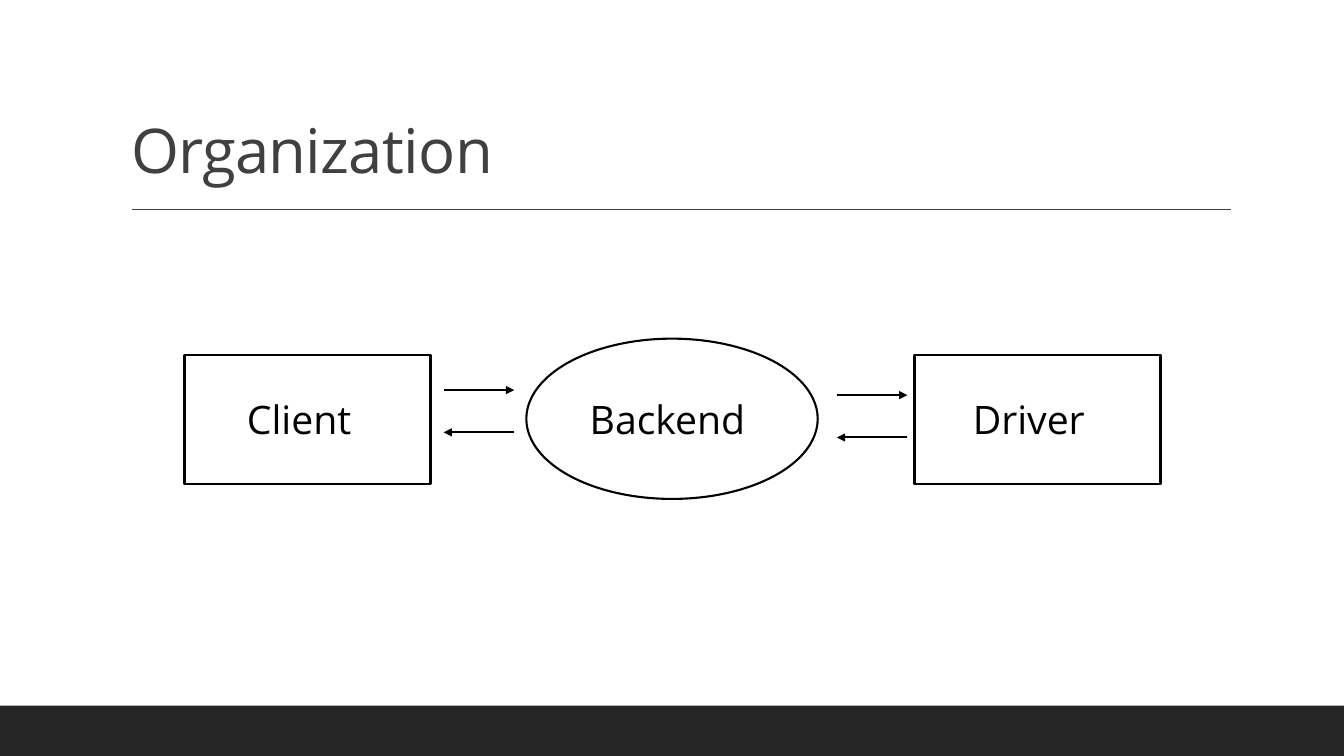
from dataclasses import dataclass
from lxml import etree
from pptx import Presentation
from pptx.dml.color import RGBColor
from pptx.enum.shapes import MSO_CONNECTOR, MSO_SHAPE
from pptx.enum.text import MSO_ANCHOR, MSO_AUTO_SIZE, PP_ALIGN
from pptx.oxml.ns import qn
from pptx.util import Inches, Pt

LINE = MSO_CONNECTOR.STRAIGHT
RECT, OVAL = MSO_SHAPE.RECTANGLE, MSO_SHAPE.OVAL
TOP, BOTTOM = MSO_ANCHOR.TOP, MSO_ANCHOR.BOTTOM
LEFT = PP_ALIGN.LEFT
FIXED = MSO_AUTO_SIZE.NONE


@dataclass(frozen=True)
class Theme:
    font: str = "Open Sans"
    ink: str = "000000"
    gray: str = "404040"
    band: str = "262626"
    title: float = 44
    label: float = 28
    rule: float = 1
    edge: float = 1.5


def write(frame, text, font, size, color, anchor=TOP, wrap=True, lead=1.0, track=0):
    frame.auto_size = FIXED
    frame.word_wrap = wrap
    frame.vertical_anchor = anchor
    para = frame.paragraphs[0]
    para.alignment = LEFT
    para.line_spacing = lead
    run = para.add_run()
    run.text = text
    run.font.name = font
    run.font.size = Pt(size)
    run.font.color.rgb = RGBColor.from_string(color)
    if track:
        run.font._element.set("spc", str(int(track * 100)))


class Board:
    def __init__(self, slide, theme):
        self.slide = slide
        self.theme = theme

    def title(self, text, x, y, w, h):
        shape = self.slide.shapes.title
        shape.left, shape.top, shape.width, shape.height = map(Inches, (x, y, w, h))
        write(shape.text_frame, text, self.theme.font, self.theme.title,
              self.theme.gray, anchor=BOTTOM, lead=0.9, track=-0.5)

    def shape(self, kind, x, y, w, h, fill=None, line=None):
        shape = self.slide.shapes.add_shape(kind, *map(Inches, (x, y, w, h)))
        shape.shadow.inherit = False
        if fill:
            shape.fill.solid()
            shape.fill.fore_color.rgb = RGBColor.from_string(fill)
        else:
            shape.fill.background()
        if line:
            shape.line.color.rgb = RGBColor.from_string(line)
            shape.line.width = Pt(self.theme.edge)
        else:
            shape.line.fill.background()

    def label(self, text, x, y, w, h):
        box = self.slide.shapes.add_textbox(*map(Inches, (x, y, w, h)))
        write(box.text_frame, text, self.theme.font, self.theme.label,
              self.theme.ink, wrap=False)

    def line(self, start, end, y, color, width, arrow=False):
        link = self.slide.shapes.add_connector(LINE, *map(Inches, (start, y, end, y)))
        link.line.color.rgb = RGBColor.from_string(color)
        link.line.width = Pt(width)
        if arrow:
            stroke = link.line._get_or_add_ln()
            etree.SubElement(stroke, qn("a:tailEnd"), type="triangle")
        etree.SubElement(link._element.spPr, qn("a:effectLst"))

    def swap(self, x, y, length=0.7, gap=0.42):
        ink, edge = self.theme.ink, self.theme.edge
        self.line(x, x + length, y, ink, edge, arrow=True)
        self.line(x + length, x, y + gap, ink, edge, arrow=True)


deck = Presentation()
deck.slide_width, deck.slide_height = Inches(13.33), Inches(7.5)
theme = Theme()
board = Board(deck.slides.add_slide(deck.slide_layouts[5]), theme)

board.shape(RECT, 0, 7, 13.33, 0.5, fill=theme.band)
board.line(1.31, 12.21, 2.08, theme.gray, theme.rule)
board.title("Organization", 1.2, 0.31, 11, 1.59)

nodes = [
    ("Client", RECT, (1.83, 3.52, 2.44, 1.28), 2.35, 1.39),
    ("Driver", RECT, (9.07, 3.52, 2.44, 1.28), 9.55, 1.47),
    ("Backend", OVAL, (5.22, 3.36, 2.89, 1.59), 5.75, 1.83),
]
for name, kind, area, left, width in nodes:
    board.shape(kind, *area, line=theme.ink)
    board.label(name, left, 3.87, width, 0.57)

for x, y in [(8.3, 3.92), (4.4, 3.87)]:
    board.swap(x, y)

deck.save("out.pptx")
